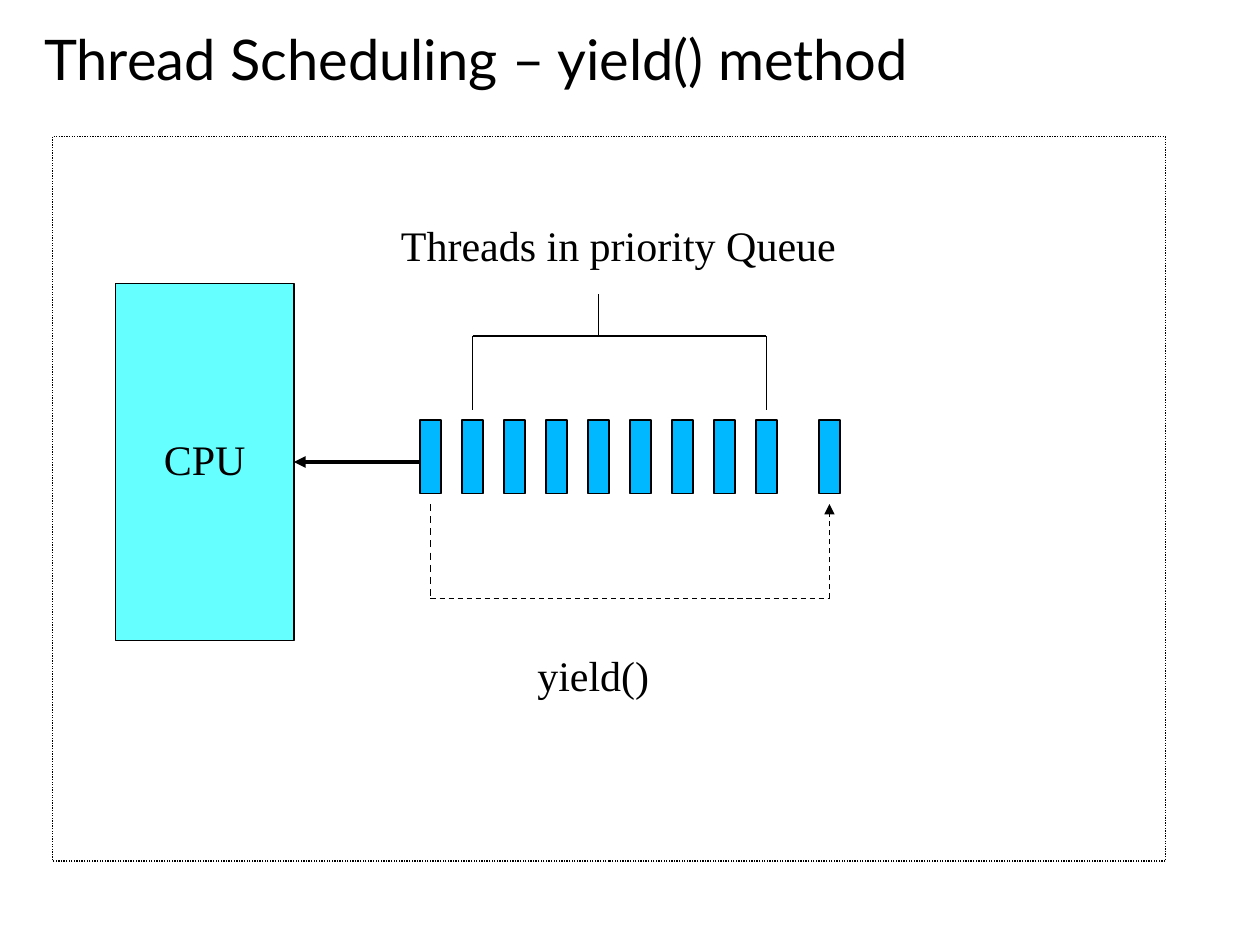
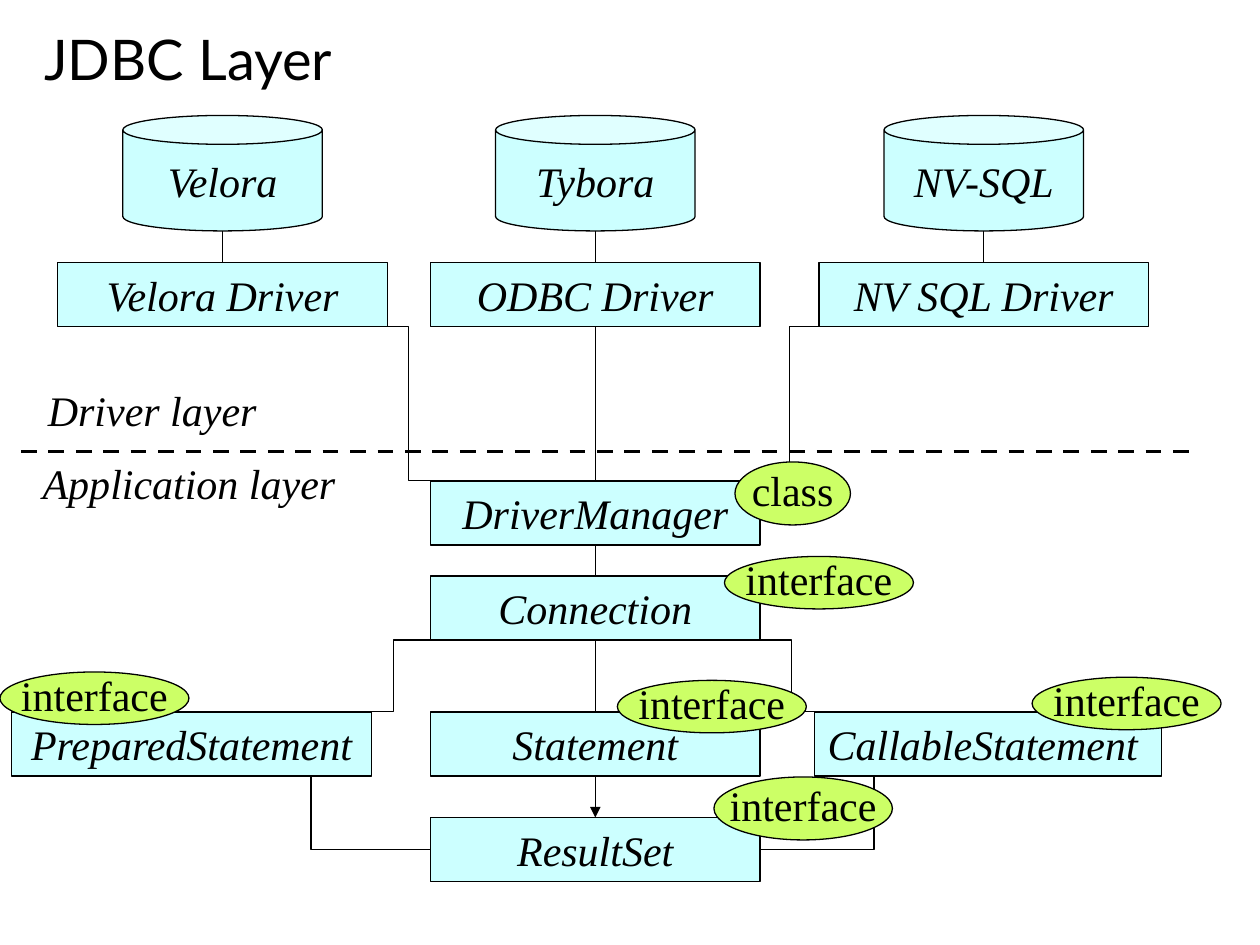
from itertools import pairwise

from pptx import Presentation
from pptx.dml.color import RGBColor
from pptx.enum.dml import MSO_LINE
from pptx.enum.shapes import MSO_CONNECTOR, MSO_SHAPE
from pptx.enum.text import MSO_ANCHOR, MSO_AUTO_SIZE, PP_ALIGN
from pptx.oxml.ns import qn
from pptx.util import Inches, Pt
from lxml import etree

BLACK = RGBColor(0x00, 0x00, 0x00)
CPU_CYAN = RGBColor(0x66, 0xFF, 0xFF)
THREAD_BLUE = RGBColor(0x00, 0xB8, 0xFF)
LAYER_CYAN = RGBColor(0xCC, 0xFF, 0xFF)
TAG_GREEN = RGBColor(0xCC, 0xFF, 0x66)

TITLE_FONT, BODY_FONT = "Lato", "Times New Roman"
RECT, CAN, OVAL = MSO_SHAPE.RECTANGLE, MSO_SHAPE.CAN, MSO_SHAPE.OVAL
STRAIGHT, ELBOW = MSO_CONNECTOR.STRAIGHT, MSO_CONNECTOR.ELBOW
DASH, DOTS = MSO_LINE.DASH, MSO_LINE.ROUND_DOT
LEFT, CENTER = PP_ALIGN.LEFT, PP_ALIGN.CENTER
MIDDLE, TOP = MSO_ANCHOR.MIDDLE, MSO_ANCHOR.TOP
NO_AUTOFIT = MSO_AUTO_SIZE.NONE
TITLE_ONLY = 5

# The slide is a grid of 120 columns by 90 rows of square cells
SLIDE_WIDTH, SLIDE_HEIGHT = Inches(10), Inches(7.5)
CELL = SLIDE_WIDTH / 120
TIGHT = 0.86  # line spacing of upright labels


def cells(*counts):
    return [round(count * CELL) for count in counts]


def write(frame, text, font=BODY_FONT, size=24, align=CENTER, anchor=MIDDLE,
          italic=False, spacing=1.0, wrap=False):
    frame.word_wrap = wrap
    frame.auto_size = NO_AUTOFIT
    frame.vertical_anchor = anchor
    paragraph = frame.paragraphs[0]
    paragraph.alignment = align
    paragraph.line_spacing = spacing
    run = paragraph.add_run()
    run.text = text
    run.font.name = font
    run.font.size = Pt(size)
    run.font.italic = italic
    run.font.color.rgb = BLACK


def add_titled_slide(deck, text):
    slide = deck.slides.add_slide(deck.slide_layouts[TITLE_ONLY])
    title = slide.shapes.title
    title.left, title.top, title.width, title.height = cells(3, 0, 114, 11)
    write(title.text_frame, text, TITLE_FONT, 32, LEFT, wrap=True)
    return slide


def add_block(slide, kind, place, fill=None, text=None, dash=None, **style):
    block = slide.shapes.add_shape(kind, *cells(*place))
    block.shadow.inherit = False
    if fill is None:
        block.fill.background()
    else:
        block.fill.solid()
        block.fill.fore_color.rgb = fill
    block.line.color.rgb = BLACK
    block.line.width = Pt(0.75)
    if dash is not None:
        block.line.dash_style = dash
    if text:
        write(block.text_frame, text, **style)


def add_label(slide, place, text, **style):
    label = slide.shapes.add_textbox(*cells(*place))
    write(label.text_frame, text, anchor=TOP, **style)


def add_link(slide, start, end, kind=STRAIGHT, width=0.75, dash=None,
             arrow=False):
    link = slide.shapes.add_connector(kind, *cells(*start, *end))
    link.line.color.rgb = BLACK
    link.line.width = Pt(width)
    if dash is not None:
        link.line.dash_style = dash
    properties = link._element.spPr
    if arrow:
        tail = etree.SubElement(properties.find(qn("a:ln")), qn("a:tailEnd"))
        tail.set("type", "triangle")
    etree.SubElement(properties, qn("a:effectLst"))


def build_yield_slide(deck):
    slide = add_titled_slide(deck, "Thread Scheduling – yield() method")
    add_block(slide, RECT, (5, 13, 106, 69), dash=DOTS)
    add_block(slide, RECT, (11, 27, 17, 34), CPU_CYAN, "CPU", spacing=TIGHT)

    # Nine waiting threads, then the place of the one that yields
    for column in [*range(40, 73, 4), 78]:
        add_block(slide, RECT, (column, 40, 2, 7), THREAD_BLUE)
    add_link(slide, (40, 44), (28, 44), width=2.25, arrow=True)

    # Bracket over the queue
    for start, end in pairwise([(45, 39), (45, 32), (73, 32), (73, 39)]):
        add_link(slide, start, end)
    add_link(slide, (57, 32), (57, 28))
    add_label(slide, (37, 21, 44, 5.4), "Threads in priority Queue",
              align=LEFT, spacing=TIGHT)

    # Way back to the end of the queue
    add_link(slide, (41, 48), (41, 57), width=1, dash=DASH)
    add_link(slide, (41, 57), (79, 57), dash=DASH)
    add_link(slide, (79, 57), (79, 48), dash=DASH, arrow=True)
    add_label(slide, (50, 62, 36, 5.4), "yield()",
              align=LEFT, spacing=TIGHT, wrap=True)


def build_jdbc_slide(deck):
    slide = add_titled_slide(deck, "JDBC Layer")
    box_width, box_height = 31.4, 6.1
    can_width, can_height = 19, 11
    middle = 56.7
    driver_row, manager_row, connection_row = 25, 45.8, 54.85
    statement_row, result_row = 67.8, 77.85

    def add_layer_box(center, row, name, width=box_width):
        add_block(slide, RECT, (center - width / 2, row, width, box_height),
                  LAYER_CYAN, name, italic=True)

    # Application layer boxes
    for row, name in [(manager_row, "DriverManager"),
                      (connection_row, "Connection"),
                      (result_row, "ResultSet")]:
        add_layer_box(middle, row, name)
    add_link(slide, (middle, manager_row + box_height),
             (middle, connection_row))

    # Statements, each between Connection and ResultSet
    result_middle = result_row + box_height / 2
    for center, name, width, result_side in [
            (18.25, "PreparedStatement", 34.3, middle - box_width / 2),
            (middle, "Statement", box_width, None),
            (94.1, "CallableStatement ", 33.1, middle + box_width / 2)]:
        add_layer_box(center, statement_row, name, width)
        kind = STRAIGHT if center == middle else ELBOW
        add_link(slide, (middle, connection_row + box_height),
                 (center, statement_row), kind)
        bottom = (center, statement_row + box_height)
        if result_side is None:
            add_link(slide, bottom, (center, result_row), arrow=True)
        else:
            add_link(slide, bottom, (result_side, result_middle), ELBOW)

    # Databases with their drivers
    for center, database, driver in [
            (21.2, "Velora", "Velora Driver"),
            (middle, "Tybora", "ODBC Driver"),
            (93.7, "NV-SQL", "NV SQL Driver")]:
        add_block(slide, CAN,
                  (center - can_width / 2, 11, can_width, can_height),
                  LAYER_CYAN, database, italic=True)
        add_layer_box(center, driver_row, driver)
        add_link(slide, (center, 11 + can_height), (center, driver_row))
        kind = STRAIGHT if center == middle else ELBOW
        add_link(slide, (middle, manager_row),
                 (center, driver_row + box_height), kind)

    # Border between the layers
    add_link(slide, (2, 43), (114, 43), width=2.25, dash=DASH)
    add_label(slide, (0, 36, 29, 6), "Driver layer", italic=True, wrap=True)
    add_label(slide, (2, 43, 32, 6), "Application layer", italic=True,
              wrap=True)

    # Tags that tell classes from interfaces
    for place, tag in [((70, 44, 11, 6), "class"),
                       ((69, 53, 18, 5), "interface"),
                       ((68, 74, 17, 6), "interface"),
                       ((0, 64, 18, 5), "interface"),
                       ((58.8, 64.8, 18, 5), "interface"),
                       ((98.3, 64.5, 18, 5), "interface")]:
        add_block(slide, OVAL, place, TAG_GREEN, tag, spacing=TIGHT)


def main():
    deck = Presentation()
    deck.slide_width, deck.slide_height = SLIDE_WIDTH, SLIDE_HEIGHT
    build_yield_slide(deck)
    build_jdbc_slide(deck)
    deck.save("out.pptx")


if __name__ == "__main__":
    main()
